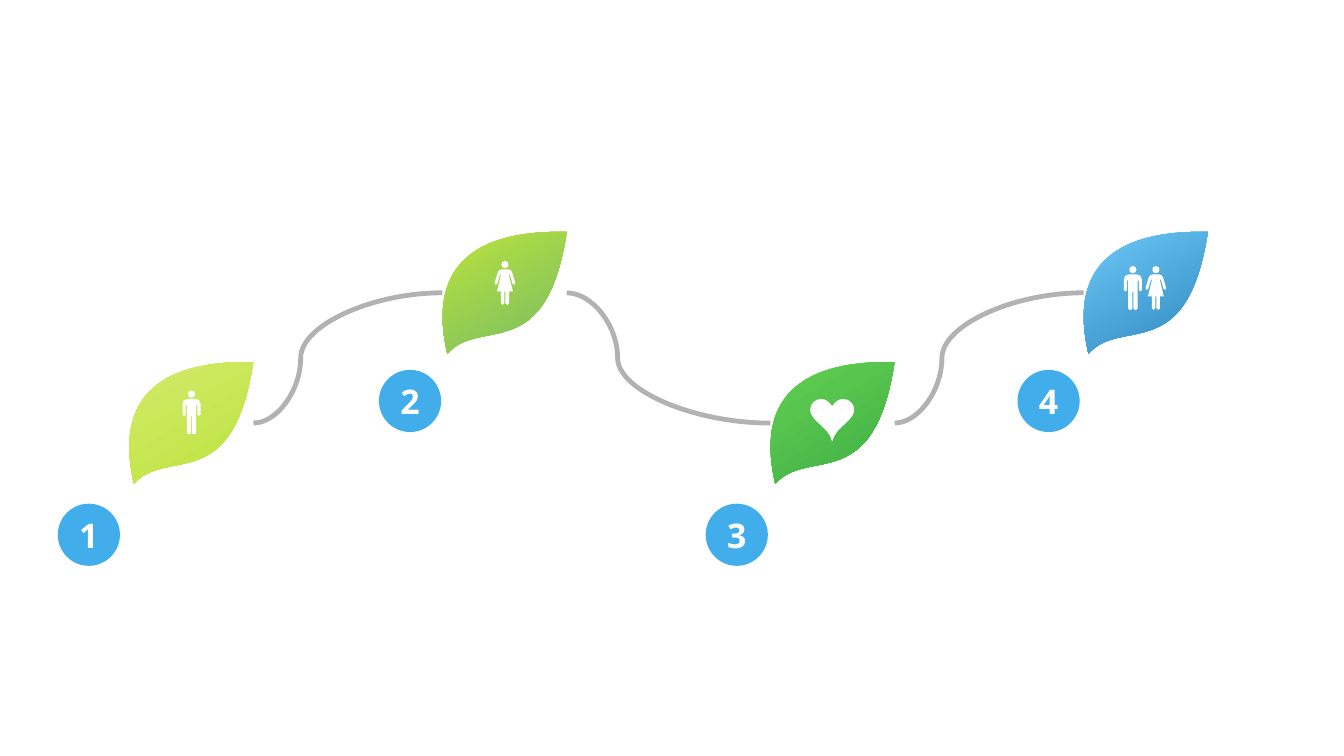
import lxml.etree
import pptx
import pptx.util
import pptx.dml.color
import pptx.enum.shapes
import pptx.enum.text
import pptx.oxml.ns

Pt = pptx.util.Pt
RGB = pptx.dml.color.RGBColor.from_string
qn = pptx.oxml.ns.qn
sub = lxml.etree.SubElement

THEME = {
    "white": RGB("FFFFFF"),
    "badge": RGB("41AEEB"),
    "path": RGB("B2B2B2"),
    "path_width": Pt(2.83),
    "leaves": [("D4EA6B", "BBE33D"), ("BBE33D", "77BC65"),
               ("62CF51", "3FAF46"), ("6FC8FA", "2D88BB")],
    "number": {"name": "Noto Sans", "size": Pt(20), "bold": True},
}
FRAME = {"margin_left": 0, "margin_top": 0, "margin_right": 0, "margin_bottom": 0,
         "vertical_anchor": pptx.enum.text.MSO_ANCHOR.MIDDLE, "word_wrap": True}

LEAF_W, LEAF_H, LEAF_MID, BADGE = 73.4, 72, 36, 36.7
HIGH, LOW = 136.9, 213.8
LEAF = [(2.9, 72), (22.3, 49.7, 61.2, 79.9, 73.4, 0), (72.7, 0, 71.9, 0, 70.6, 0),
        (69.1, 0), (17.3, 0, -8.9, 21.6, 2.9, 72)]

HEAD = [(0, 0), (2.8, 0, 2.8, 4.3, 0, 4.3)]
MAN = [HEAD, [(0, 5), (2.4, 5), (4.2, 5, 5.3, 6.3, 5.3, 7.9), (5.3, 14.2),
              (5.3, 15.3, 3.5, 15.3, 3.5, 14.2), (3.5, 8.6), (2.8, 8.6), (2.8, 24.9),
              (2.8, 26.3, 0.3, 26.3, 0.3, 24.9), (0.3, 15.1), (0, 15.1)]]
WOMAN = [HEAD, [(0, 5), (1.5, 5), (1.5, 5, 3.7, 4.7, 4.4, 7.2), (6.1, 13),
                (6.4, 14.2, 4.9, 14.6, 4.5, 13.5), (2.9, 8), (2.3, 8), (4.7, 18),
                (2.4, 18), (2.4, 25), (2.4, 26.2, 0.3, 26.2, 0.3, 25), (0.3, 18), (0, 18)]]
HEART = [[(0, 4.3), (1.8, 1.5, 4, 0, 6.5, 0), (8.6, 0, 10, 0.7, 11.2, 2),
          (12.4, 3.2, 13, 4.6, 13, 6.5), (13, 8.6, 11.5, 11, 8.6, 13.7),
          (6, 16.2, 4, 18, 2.9, 19.4), (1.5, 21.2, 0.4, 23, 0, 25.2)]]

STEPS = [
    ("1", 76.2, LOW, 34.1, 297.4, (31.6, 16.8, 10.6, 25.9), [(MAN, 5.3)]),
    ("2", 261.2, HIGH, 223.7, 218.4, (30.7, 17.2, 12.4, 25.9), [(WOMAN, 6.2)]),
    ("3", 454.8, LOW, 416.6, 297.4, (23.5, 21.8, 26, 25.2), [(HEART, 13)]),
    ("4", 639.7, HIGH, 600.7, 218.4, (23.8, 20.2, 25.1, 25.9), [(MAN, 5.3), (WOMAN, 18.9)]),
]


def mirrored(half, center):
    back = []
    for prev, seg in zip(half, half[1:]):
        flat = list(zip(seg[::2], seg[1::2]))
        target = flat[:-1][::-1] + [prev[-2:]]
        back.insert(0, tuple(v for x, y in target for v in (-x, y)))
    return [tuple(v + center if i % 2 == 0 else v for i, v in enumerate(seg))
            for seg in half + back]


def draw(shapes, contours, left, top, width, height):
    fb = shapes.build_freeform(0, 0, scale=Pt(0.01))
    fb.add_line_segments([(width * 100, 0), (width * 100, height * 100)])
    sp = fb.convert_to_shape(Pt(left), Pt(top))
    sp.shadow.inherit = False
    sp.line.fill.background()
    outline = sp._element.spPr.find(".//" + qn("a:path"))
    for child in list(outline):
        outline.remove(child)
    for contour in contours:
        for i, seg in enumerate(contour):
            tag = "a:moveTo" if i == 0 else "a:lnTo" if len(seg) == 2 else "a:cubicBezTo"
            step = sub(outline, qn(tag))
            for x, y in zip(seg[::2], seg[1::2]):
                sub(step, qn("a:pt"), x=str(round(x * 100)), y=str(round(y * 100)))
        sub(outline, qn("a:close"))
    return sp


prs = pptx.Presentation()
prs.slide_width, prs.slide_height = Pt(793.44), Pt(446.4)
s = prs.slides.add_slide(prs.slide_layouts[6])

for step, colors in zip(STEPS, THEME["leaves"]):
    number, left, top, badge_x, badge_y, (dx, dy, w, h), figures = step
    sp = s.shapes.add_shape(pptx.enum.shapes.MSO_SHAPE.OVAL,
                            Pt(badge_x), Pt(badge_y), Pt(BADGE), Pt(BADGE))
    sp.shadow.inherit = False
    sp.fill.solid()
    sp.fill.fore_color.rgb = THEME["badge"]
    sp.line.fill.background()
    tf = sp.text_frame
    for name, value in FRAME.items():
        setattr(tf, name, value)
    p = tf.paragraphs[0]
    p.alignment = pptx.enum.text.PP_ALIGN.CENTER
    r = p.add_run()
    r.text = number
    for name, value in THEME["number"].items():
        setattr(r.font, name, value)
    r.font.color.rgb = THEME["white"]

    leaf = draw(s.shapes, [LEAF], left, top, LEAF_W, LEAF_H)
    leaf.fill.gradient()
    leaf.fill.gradient_angle = 300
    for stop, color in zip(leaf.fill.gradient_stops, colors):
        stop.color.rgb = RGB(color)

    contours = [mirrored(half, center) for halves, center in figures for half in halves]
    icon = draw(s.shapes, contours, left + dx, top + dy, w, h)
    icon.fill.solid()
    icon.fill.fore_color.rgb = THEME["white"]
    s.shapes.add_group_shape([leaf, icon])

for start, end in zip(STEPS, STEPS[1:]):
    cxn = s.shapes.add_connector(
        pptx.enum.shapes.MSO_CONNECTOR.CURVE,
        Pt(start[1] + LEAF_W), Pt(start[2] + LEAF_MID), Pt(end[1]), Pt(end[2] + LEAF_MID))
    cxn.line.color.rgb = THEME["path"]
    cxn.line.width = THEME["path_width"]
    spPr = cxn._element.spPr
    sub(spPr, qn("a:effectLst"))
    guides = spPr.find(qn("a:prstGeom")).get_or_add_avLst()
    sub(guides, qn("a:gd"), name="adj1", fmla="val 25000")

prs.save("out.pptx")
